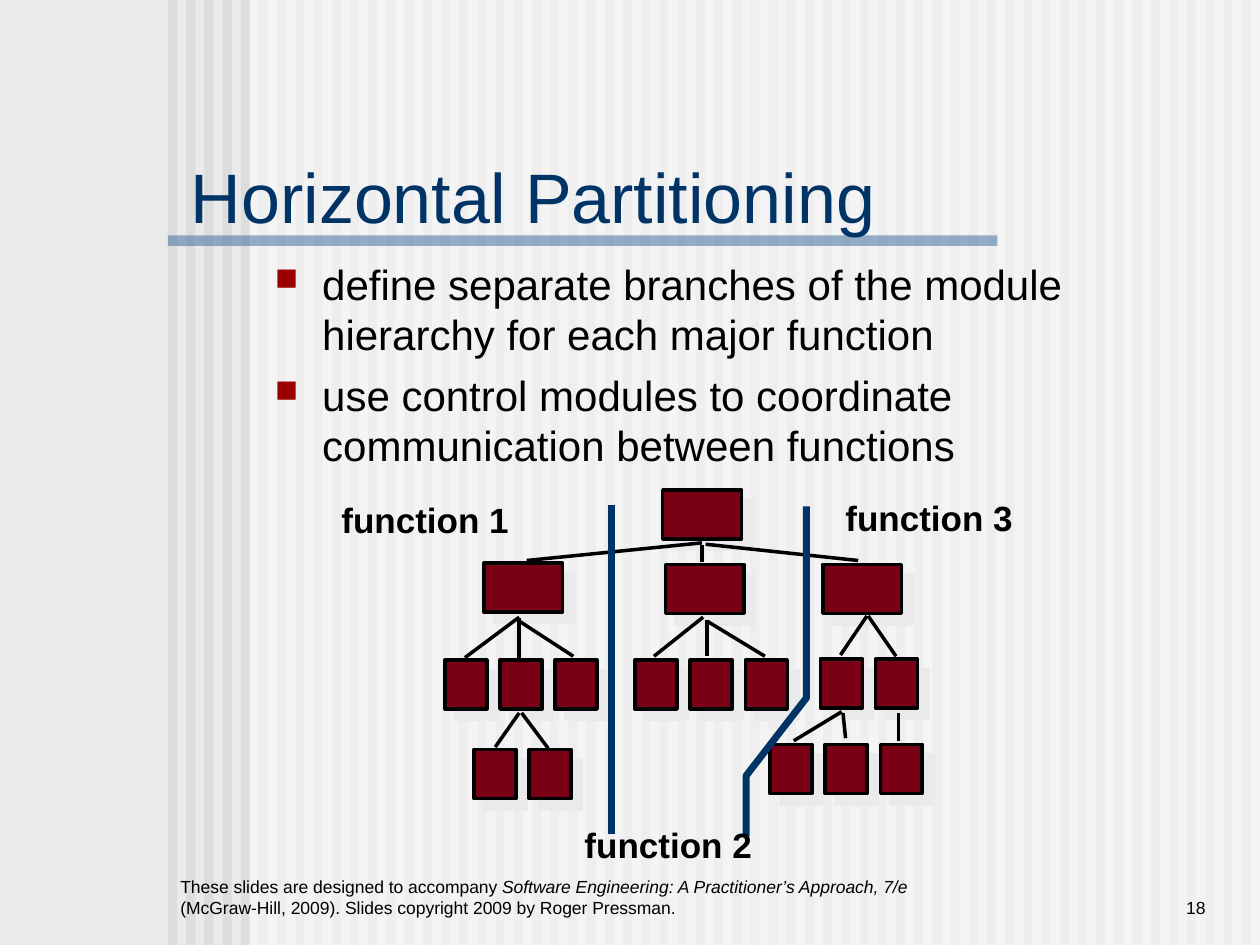
from lxml import etree
from pptx import Presentation, util as u
from pptx.dml.color import RGBColor
from pptx.enum import shapes, text
from pptx.oxml.ns import qn

Pt = u.Pt
FONT = "Arial"
PAPER = RGBColor(0xEA, 0xEA, 0xEA)
STRIPE = RGBColor(0xDD, 0xDD, 0xDD)
WHITE = RGBColor(0xFF, 0xFF, 0xFF)
BLACK = RGBColor(0, 0, 0)
NAVY = RGBColor(0x00, 0x33, 0x66)
BLUE = RGBColor(0x33, 0x66, 0x99)
RED = RGBColor(0x9A, 0x00, 0x00)
MAROON = RGBColor(0x79, 0x00, 0x15)

# Module hierarchy, in points from the top left of the diagram
LARGE, SMALL = (45, 28), (24, 28)
SIBLING_PITCH = 31.5
LARGE_MODULES = [(124.5, 0), (22.3, 41.8), (126, 42.5), (216, 42.5)]
SMALL_ROWS = [  # left, top, count
    (0, 97.2, 3), (108.7, 97.2, 3), (214.6, 96.5, 2),
    (185.8, 145.4, 3), (16.6, 148.3, 2),
]
BRANCHES = [  # parent point, child point
    (146.9, 30.2, 46.8, 40.3), (146.9, 31.7, 146.9, 41), (149, 31, 236.2, 40.3),
    (42.5, 72.7, 11.5, 95.8), (42.5, 73.4, 42.5, 95.8), (42.5, 74.9, 73.4, 95),
    (147.6, 72.7, 119.5, 95), (149.8, 74.2, 149.8, 95), (149.8, 74.9, 182.9, 95),
    (241.2, 72, 226.1, 94.3), (241.9, 72, 257.8, 95),
    (226.8, 126.7, 199.4, 143.3), (227.5, 127.4, 229, 141.8),
    (259.2, 127.4, 259.2, 143.3),
    (42.5, 127.4, 28.8, 146.9), (43.9, 127.4, 59, 147.6),
]
LEFT_DIVIDER = (95, 8.6, 95, 196.6)
RIGHT_DIVIDER = [(206.6, 9.4), (206.6, 118.8), (172.1, 163.4), (172.1, 198)]
LABELS = [("function 1", -66.2, 1.4), ("function 3", 221.8, 0),
          ("function 2", 72.7, 187.2)]


def add_rectangle(slide, left, top, width, height, color, alpha=None):
    shape = slide.shapes.add_shape(shapes.MSO_SHAPE.RECTANGLE, Pt(left), Pt(top),
                                   Pt(width), Pt(height))
    shape.shadow.inherit = False
    shape.fill.solid()
    shape.fill.fore_color.rgb = color
    shape.line.fill.background()
    if alpha is not None:
        fill_color = shape.fill._xPr.find(qn("a:solidFill"))[0]
        etree.SubElement(fill_color, qn("a:alpha"), val=str(alpha * 1000))
    return shape


def add_module(slide, left, top, size):
    module = add_rectangle(slide, left, top, *size, MAROON)
    module.line.color.rgb = BLACK
    module.line.width = Pt(2)
    # Hard offset shadow
    effects = module._element.spPr.find(qn("a:effectLst"))
    shadow = etree.SubElement(effects, qn("a:outerShdw"), blurRad="0",
                              dist=str(Pt(8.5)), dir="2700000",
                              algn="ctr", rotWithShape="0")
    etree.SubElement(shadow, qn("a:srgbClr"), val=str(PAPER))


def add_line(slide, left, top, points, color, width):
    x1, y1, x2, y2 = points
    line = slide.shapes.add_connector(
        shapes.MSO_CONNECTOR.STRAIGHT, Pt(left + x1), Pt(top + y1),
        Pt(left + x2), Pt(top + y2))
    line.line.color.rgb = color
    line.line.width = Pt(width)
    etree.SubElement(line._element.spPr, qn("a:effectLst"))


def add_text(slide, left, top, width, height, content, size, color=BLACK,
             anchor=text.MSO_ANCHOR.TOP):
    """Place a text box and return its frame and first paragraph."""
    box = slide.shapes.add_textbox(Pt(left), Pt(top), Pt(width), Pt(height))
    frame = box.text_frame
    frame.word_wrap = True
    frame.vertical_anchor = anchor
    frame.text = content
    for paragraph in frame.paragraphs:
        font = paragraph.font
        font.name, font.size, font.color.rgb = FONT, Pt(size), color
    return frame, frame.paragraphs[0]


def draw_background(slide, left, top, width, height):
    slide.background.fill.solid()
    slide.background.fill.fore_color.rgb = PAPER
    # Stripes, veiled in white right of the dark band
    for index in range(60):
        add_rectangle(slide, left + 10.4 * index, top, 5.2, height, STRIPE)
    add_rectangle(slide, left + 46.5, top, width - 46.5, height, WHITE, 50)


def draw_title(slide, left, top, width, height):
    add_rectangle(slide, left - 6, top + 44.5, 474, 6, BLUE, 50)
    add_text(slide, left, top, width, height, "Horizontal Partitioning", 40, NAVY,
             text.MSO_ANCHOR.MIDDLE)


def draw_bullets(slide, left, top, width, height):
    lines = ["define separate branches of the module hierarchy for each major function",
             "use control modules to coordinate communication between functions"]
    frame, _ = add_text(slide, left, top, width, height, "\n".join(lines), 24)
    for index, paragraph in enumerate(frame.paragraphs):
        properties = paragraph._p.get_or_add_pPr()
        properties.set("marL", str(Pt(27)))
        properties.set("indent", str(Pt(-27)))
        bullet_color = etree.Element(qn("a:buClr"))
        etree.SubElement(bullet_color, qn("a:srgbClr"), val=str(RED))
        bullet_size = etree.Element(qn("a:buSzPct"), val="75000")
        bullet = etree.Element(qn("a:buChar"), char="■")
        for position, element in enumerate((bullet_color, bullet_size, bullet)):
            properties.insert(position, element)
        if index:
            paragraph.space_before = Pt(6)


def draw_hierarchy(slide, left, top):
    # Modules
    for x, y in LARGE_MODULES:
        add_module(slide, left + x, top + y, LARGE)
    for x, y, count in SMALL_ROWS:
        for index in range(count):
            add_module(slide, left + x + index * SIBLING_PITCH, top + y, SMALL)
    # Branches
    for branch in BRANCHES:
        add_line(slide, left, top, branch, BLACK, 2)
    # Dividers between the functions
    add_line(slide, left, top, LEFT_DIVIDER, NAVY, 4)
    points = [(Pt(left + x), Pt(top + y)) for x, y in RIGHT_DIVIDER]
    builder = slide.shapes.build_freeform(*points[0])
    builder.add_line_segments(points[1:], close=False)
    divider = builder.convert_to_shape()
    divider.shadow.inherit = False
    divider.fill.background()
    divider.line.color.rgb = NAVY
    divider.line.width = Pt(4)
    # Function labels
    for label, x, y in LABELS:
        frame, paragraph = add_text(slide, left + x, top + y, 110, 31, label, 20)
        frame.word_wrap = False
        frame.auto_size = text.MSO_AUTO_SIZE.SHAPE_TO_FIT_TEXT
        paragraph.font.bold = True


def draw_footer(slide, left, top, width, height):
    bottom = text.MSO_ANCHOR.BOTTOM
    _, credit = add_text(slide, left, top, 432, height,
                         "These slides are designed to accompany ", 10, anchor=bottom)
    book = credit.add_run()
    book.text = "Software Engineering: A Practitioner’s Approach, 7/e "
    book.font.italic = True
    credit.add_run().text = ("(McGraw-Hill, 2009). "
                             "Slides copyright 2009 by Roger Pressman.")
    _, number = add_text(slide, left + width - 102, top, 102, height, "18", 10,
                         anchor=bottom)
    number.alignment = text.PP_ALIGN.RIGHT


def main():
    presentation = Presentation()
    presentation.slide_width, presentation.slide_height = Pt(720), Pt(540)
    slide = presentation.slides.add_slide(presentation.slide_layouts[6])
    draw_background(slide, 96, 0, 624, 540)
    draw_title(slide, 102, 90, 425.5, 43)
    draw_bullets(slide, 150, 144, 544, 186)
    draw_hierarchy(slide, 254.2, 280)
    draw_footer(slide, 96, 492, 600, 36)
    presentation.save("out.pptx")


if __name__ == "__main__":
    main()
